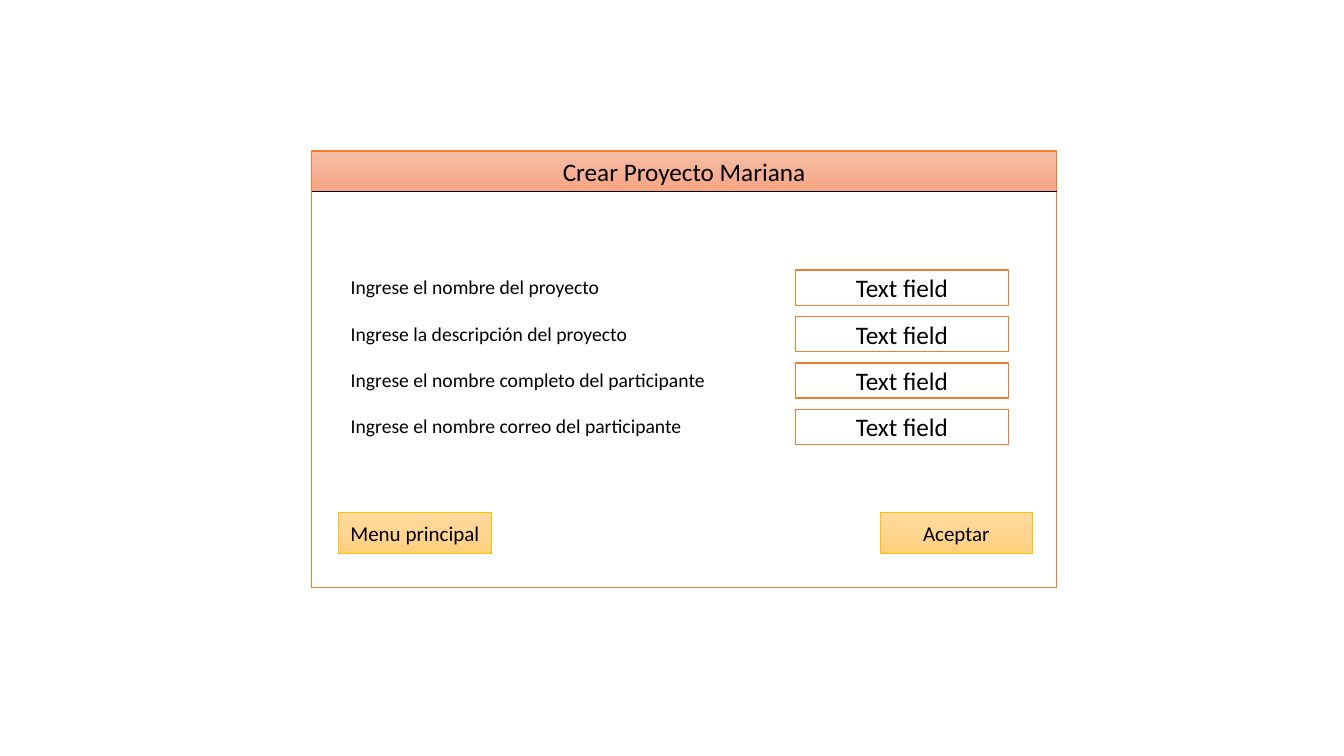
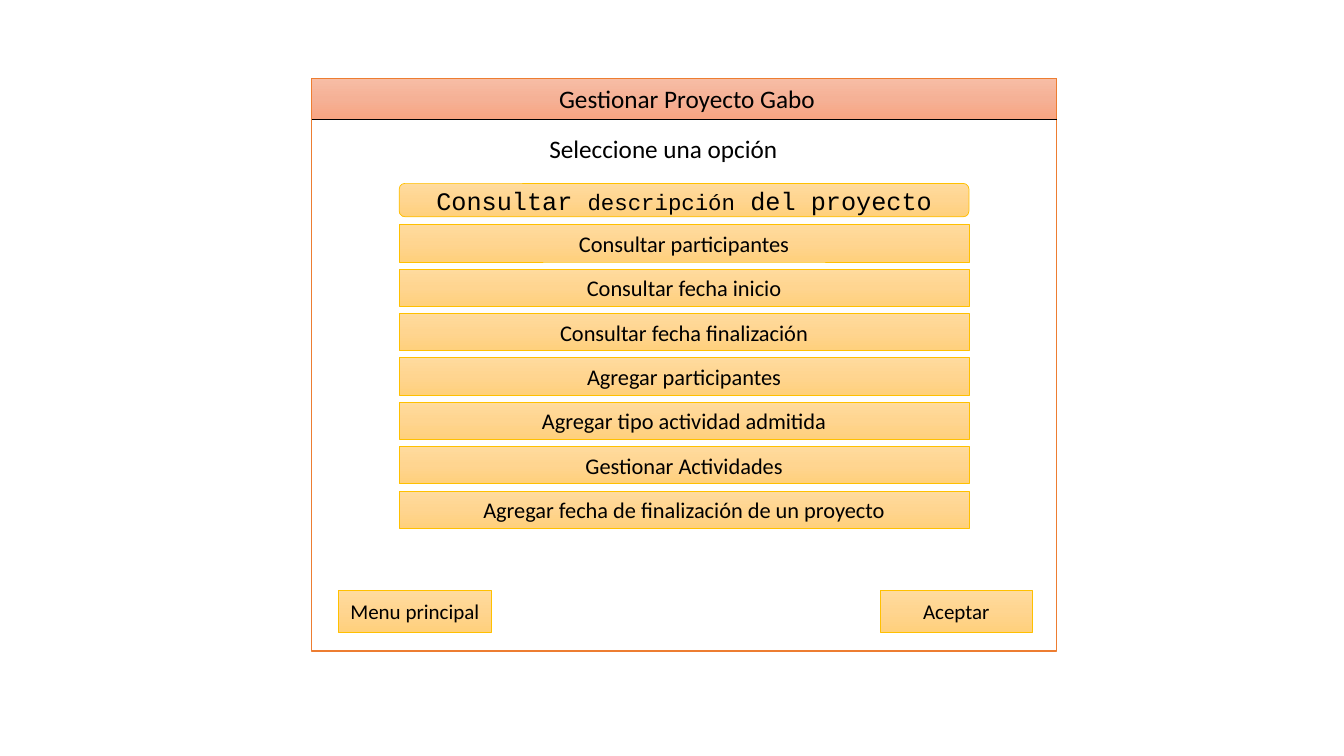
from copy import deepcopy

from lxml.etree import SubElement
from pptx import Presentation
from pptx.dml.color import RGBColor
from pptx.enum.shapes import MSO_CONNECTOR, MSO_SHAPE
from pptx.enum.text import MSO_ANCHOR, MSO_AUTO_SIZE, PP_ALIGN
from pptx.oxml.ns import qn
from pptx.util import Inches, Pt

LEFT, WIDE = 3.09, 7.39      # window
BAR = 0.4                    # title bar height


def color(code):
    return RGBColor.from_string(code)


def assign(target, values):
    for name, value in values.items():
        setattr(target, name, value)


class Deck:
    font = "Calibri"
    ink, paper = "000000", "FFFFFF"
    orange, gold = "ED7D31", "FFC000"
    peach = ("F7BDA5", "F5B196", "F8A582")
    amber = ("FFDB9E", "FFD590", "FFD07C")

    def __init__(self):
        self.file = Presentation()
        assign(self.file, {"slide_width": Inches(13.33),
                           "slide_height": Inches(7.5)})
        self.slide = None

    # Text and fill
    def letter(self, shape, runs, align, anchor, font=None, grow=False):
        frame = shape.text_frame
        fit = MSO_AUTO_SIZE.SHAPE_TO_FIT_TEXT if grow else MSO_AUTO_SIZE.NONE
        assign(frame, {"word_wrap": True, "auto_size": fit,
                       "vertical_anchor": anchor})
        line = frame.paragraphs[0]
        line.alignment = align
        for text, size in runs:
            run = line.add_run()
            run.text = text
            assign(run.font, {"name": font or self.font, "size": Pt(size)})
            run.font.color.rgb = color(self.ink)

    def blend(self, shape, shades):
        shape.fill.gradient()
        shape.fill.gradient_angle = 270
        stops = shape.element.spPr.find(".//" + qn("a:gsLst"))
        stops.insert(1, deepcopy(stops[0]))
        for i, stop in enumerate(shape.fill.gradient_stops):
            stop.position = i / 2
            stop.color.rgb = color(shades[i])

    # Basic elements
    def box(self, area, fill, edge, width, kind=MSO_SHAPE.RECTANGLE):
        shape = self.slide.shapes.add_shape(kind, *map(Inches, area))
        shape.shadow.inherit = False
        if isinstance(fill, tuple):
            self.blend(shape, fill)
        else:
            shape.fill.solid()
            shape.fill.fore_color.rgb = color(fill)
        shape.line.color.rgb = color(edge)
        shape.line.width = Pt(width)
        return shape

    def label(self, area, text, size, anchor=MSO_ANCHOR.TOP):
        shape = self.slide.shapes.add_textbox(*map(Inches, area))
        self.letter(shape, [(text, size)], PP_ALIGN.LEFT, anchor)

    def rule(self, top):
        ends = map(Inches, (LEFT, top, LEFT + WIDE, top))
        line = self.slide.shapes.add_connector(MSO_CONNECTOR.STRAIGHT, *ends)
        line.line.color.rgb = color(self.ink)
        line.line.width = Pt(0.5)
        SubElement(line.element.spPr, qn("a:effectLst"))

    # Form elements
    def window(self, title, top, height):
        self.slide = self.file.slides.add_slide(self.file.slide_layouts[6])
        self.box((LEFT, top, WIDE, height), self.paper, self.orange, 1)
        bar = self.box((LEFT, top, WIDE, BAR), self.peach, self.orange, 0.5)
        self.letter(bar, [(title, 18)], PP_ALIGN.CENTER, MSO_ANCHOR.TOP,
                    grow=True)
        self.rule(top + BAR)

    def field(self, area):
        shape = self.box(area, self.paper, self.orange, 1)
        self.letter(shape, [("Text field", 18)], PP_ALIGN.CENTER,
                    MSO_ANCHOR.MIDDLE)

    def button(self, area, runs, kind=MSO_SHAPE.RECTANGLE, font=None):
        shape = self.box(area, self.amber, self.gold, 0.5, kind)
        self.letter(shape, runs, PP_ALIGN.CENTER, MSO_ANCHOR.MIDDLE, font)

    def footer(self, top):
        for left, text in ((3.36, "Menu principal"), (8.73, "Aceptar")):
            self.button((left, top, 1.51, 0.41), [(text, 15)])


def create(deck):
    deck.window("Crear Proyecto Mariana", 1.5, 4.33)
    prompts = ("Ingrese el nombre del proyecto",
               "Ingrese la descripción del proyecto",
               "Ingrese el nombre completo del participante",
               "Ingrese el nombre correo del participante")
    for i, text in enumerate(prompts):
        top = 2.68 + 0.46 * i
        deck.label((3.38, top, 4.51, 0.34), text, 14)
        deck.field((7.89, top, 2.11, 0.35))
    deck.footer(5.08)


def manage(deck):
    deck.window(" Gestionar Proyecto Gabo", 0.78, 5.68)
    deck.label((5.35, 1.18, 2.9, 0.58), "Seleccione una opción", 18,
               MSO_ANCHOR.MIDDLE)
    deck.button((3.96, 1.82, 5.65, 0.33),
                [("Consultar ", 18), ("descripción", 16),
                 (" del proyecto", 18)],
                MSO_SHAPE.ROUNDED_RECTANGLE, "Courier New")
    options = ("Consultar participantes",
               "Consultar fecha inicio",
               "Consultar fecha finalización",
               "Agregar participantes",
               "Agregar tipo actividad admitida",
               "Gestionar Actividades",
               "Agregar fecha de finalización de un proyecto")
    for i, text in enumerate(options):
        deck.button((3.96, 2.23 + 0.44 * i, 5.65, 0.37), [(text, 16)])
    deck.footer(5.86)


def main():
    deck = Deck()
    create(deck)
    manage(deck)
    deck.file.save("out.pptx")


if __name__ == "__main__":
    main()
